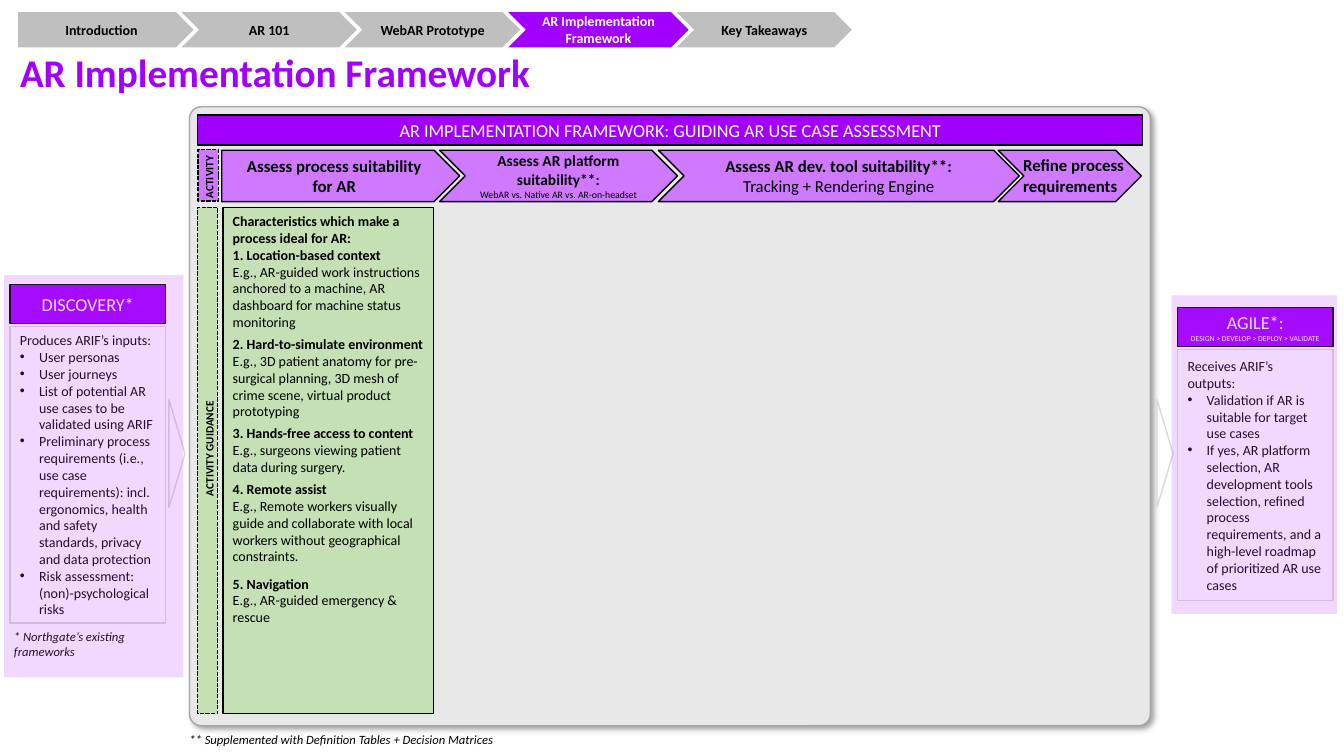
from lxml import etree
from pptx import Presentation
from pptx.dml.color import RGBColor
from pptx.enum import dml, shapes, text
from pptx.oxml import ns
from pptx.util import Inches, Pt

COLORS = {"purple": "A100FF", "violet": "CF79FF", "veil": "B940FF", "green": "C5E0B4",
          "panel": "E8E8E8", "edge": "A6A6A6", "nav": "BFBFBF", "pale": "D9D9D9",
          "black": "000000", "white": "FFFFFF"}
KINDS = shapes.MSO_SHAPE
CENTER = text.PP_ALIGN.CENTER

NAV = [("Introduction", 1.74), ("AR 101", 1.74), ("WebAR Prototype", 1.74),
       ("AR Implementation Framework", 1.79), ("Key Takeaways", 1.74)]
CURRENT = "AR Implementation Framework"

STEPS = [
    (2.2, 2.36, [("Assess process suitability", 12, True), ("for AR", 12, True)]),
    (4.36, 2.36, [("Assess AR platform suitability**:", 11, True),
                  ("WebAR vs. Native AR vs. AR-on-headset", 7, False)]),
    (6.53, 3.58, [("Assess AR dev. tool suitability**:", 12, True),
                  ("Tracking + Rendering Engine", 12, False)]),
    (9.9, 1.42, []),
]

GUIDANCE_LEAD = "Characteristics which make a process ideal for AR:"
GUIDANCE = [
    ("1. Location-based context", "E.g., AR-guided work instructions anchored to a machine, "
     "AR dashboard for machine status monitoring", 0),
    ("2. Hard-to-simulate environment", "E.g., 3D patient anatomy for pre-surgical planning, "
     "3D mesh of crime scene, virtual product prototyping", 3.7),
    ("3. Hands-free access to content",
     "E.g., surgeons viewing patient data during surgery.", 3.7),
    ("4. Remote assist", "E.g., Remote workers visually guide and collaborate with local "
     "workers without geographical constraints.", 3.7),
    ("5. Navigation", "E.g., AR-guided emergency & rescue", 7.4),
]

SIDES = [
    {"left": 0.1, "top": 2.82, "list_height": 2.94, "arrow": 1.22,
     "veil": (0.04, 2.73, 1.78, 3.99), "head": [("DISCOVERY*", 13, False)],
     "lead": "Produces ARIF’s inputs:",
     "items": ["User personas", "User journeys",
               "List of potential AR use cases to be validated using ARIF",
               "Preliminary process requirements (i.e., use case requirements): incl. "
               "ergonomics, health and safety standards, privacy and data protection",
               "Risk assessment: (non)-psychological risks"]},
    {"left": 11.68, "top": 3.05, "list_height": 2.49, "arrow": 11.02,
     "veil": (11.62, 2.93, 1.64, 3.16),
     "head": [("AGILE*:", 13, False), ("DESIGN > DEVELOP > DEPLOY > VALIDATE", 5.5, False)],
     "lead": "Receives ARIF’s outputs:",
     "items": ["Validation if AR is suitable for target use cases",
               "If yes, AR platform selection, AR development tools selection, refined process "
               "requirements, and a high-level roadmap of prioritized AR use cases"]},
]

LABELS = [
    ((10.05, 1.49, 1.2, 0.5), 0, "Refine process requirements", 12, True, False),
    ((0.04, 6.19, 1.72, 0.4), 0, "* Northgate’s existing frameworks", 9, False, True),
    ((1.78, 7.21, 3.31, 0.25), 0,
     "** Supplemented with Definition Tables + Decision Matrices", 9, False, True),
    ((1.7, 1.57, 0.75, 0.24), 270, "ACTIVITY", 8, True, False),
    ((1.41, 4.23, 1.34, 0.24), 270, "ACTIVITY GUIDANCE", 8, True, False),
]

deck = Presentation()
deck.slide_width, deck.slide_height = Inches(13.33), Inches(7.5)
page = deck.slides.add_slide(deck.slide_layouts[6])


def rgb(name):
    return RGBColor.from_string(COLORS[name])


def write(box, lines, color="black", align=None, italic=False):
    frame = box.text_frame
    frame.word_wrap = True
    frame.text = "\n".join(line[0] for line in lines)
    for para, (_, size, bold) in zip(frame.paragraphs, lines):
        para.alignment = align or text.PP_ALIGN.LEFT
        for span in para.runs:
            span.font.name = "Calibri"
            span.font.size = Pt(size)
            span.font.bold = bold
            span.font.italic = italic
            span.font.color.rgb = rgb(color)
    return frame


def draw(kind, at, fill=None, line=None, dashed=False, turn=0):
    shape = page.shapes.add_shape(kind, *map(Inches, at))
    shape.shadow.inherit = False
    shape.rotation = turn
    if fill:
        shape.fill.solid()
        shape.fill.fore_color.rgb = rgb(fill)
    else:
        shape.fill.background()
    if line:
        shape.line.color.rgb = rgb(line)
        shape.line.width = Pt(1)
        if dashed:
            shape.line.dash_style = dml.MSO_LINE.SQUARE_DOT
    else:
        shape.line.fill.background()
    shape.text_frame.vertical_anchor = text.MSO_ANCHOR.MIDDLE
    return shape


def label(at, turn, words, size, bold, italic, color="black"):
    box = page.shapes.add_textbox(*map(Inches, at))
    box.rotation = turn
    return write(box, [(words, size, bold)], color, italic=italic)


def set_alpha(color_node, percent):
    etree.SubElement(color_node, ns.qn("a:alpha"), val=str(percent * 1000))


def add_bullet(para):
    props = para._p.get_or_add_pPr()
    props.set("marL", str(Inches(0.19)))
    props.set("indent", str(Inches(-0.19)))
    etree.SubElement(props, ns.qn("a:buFont"), typeface="Arial")
    etree.SubElement(props, ns.qn("a:buChar"), char="•")


def add_shadow(shape):
    effects = shape._element.spPr.find(ns.qn("a:effectLst"))
    shadow = etree.SubElement(effects, ns.qn("a:outerShdw"), blurRad=str(Pt(4)),
                              dist=str(Pt(3)), dir=str(45 * 60000), rotWithShape="0")
    set_alpha(etree.SubElement(shadow, ns.qn("a:srgbClr"), val=COLORS["black"]), 40)


def arrow_kind(index):
    return KINDS.CHEVRON if index else KINDS.PENTAGON


panel = draw(KINDS.ROUNDED_RECTANGLE, (1.88, 1.06, 9.53, 6.14), "panel", "edge")
panel.adjustments[0] = 0.019
add_shadow(panel)

banner = draw(KINDS.RECTANGLE, (1.96, 1.14, 9.37, 0.3), "purple", "black")
write(banner, [("AR IMPLEMENTATION FRAMEWORK: GUIDING AR USE CASE ASSESSMENT", 13, False)],
      "white", CENTER)

for index, (left, width, lines) in enumerate(STEPS):
    step = draw(arrow_kind(index), (left, 1.49, width, 0.51), "violet", "black")
    write(step, lines, align=CENTER)

draw(KINDS.RECTANGLE, (1.81, 1.64, 0.51, 0.2), "violet", "black", True, 270)
draw(KINDS.RECTANGLE, (-0.45, 4.47, 5.02, 0.2), "green", "black", True, 270)

guide = draw(KINDS.RECTANGLE, (2.21, 2.06, 2.09, 5.02), "green", "black")
guide_lines = [(GUIDANCE_LEAD, 10, True)]
for heading, example, _ in GUIDANCE:
    guide_lines += [(heading, 10, True), (example, 10, False)]
guide_frame = write(guide, guide_lines)
guide_frame.vertical_anchor = text.MSO_ANCHOR.TOP
for para, (_, _, gap) in zip(guide_frame.paragraphs[1::2], GUIDANCE):
    para.space_before = Pt(gap)

label((0.1, 0.43, 5.32, 0.57), 0, CURRENT, 28, True, False, "purple").word_wrap = False

nav_left = 0.18
for index, (name, width) in enumerate(NAV):
    active = name == CURRENT
    tab = draw(arrow_kind(index), (nav_left, 0.12, width, 0.35), "purple" if active else "nav")
    write(tab, [(name, 10, True)], "white" if active else "black", CENTER)
    nav_left += width - 0.12

for side in SIDES:
    left, top = side["left"], side["top"]
    draw(KINDS.ISOSCELES_TRIANGLE, (side["arrow"], 4.42, 1.07, 0.16), line="pale", turn=90)
    head = draw(KINDS.RECTANGLE, (left, top, 1.54, 0.39), "purple", "black")
    write(head, side["head"], "white", CENTER)
    listing = draw(KINDS.RECTANGLE, (left, top + 0.42, 1.54, side["list_height"]), line="pale")
    lines = [(words, 10, False) for words in [side["lead"], *side["items"]]]
    for para in write(listing, lines).paragraphs[1:]:
        add_bullet(para)

for entry in LABELS:
    label(*entry)

for side in SIDES:
    veil = draw(KINDS.RECTANGLE, side["veil"], "veil")
    set_alpha(veil._element.spPr.find(ns.qn("a:solidFill"))[0], 20)

deck.save("out.pptx")
